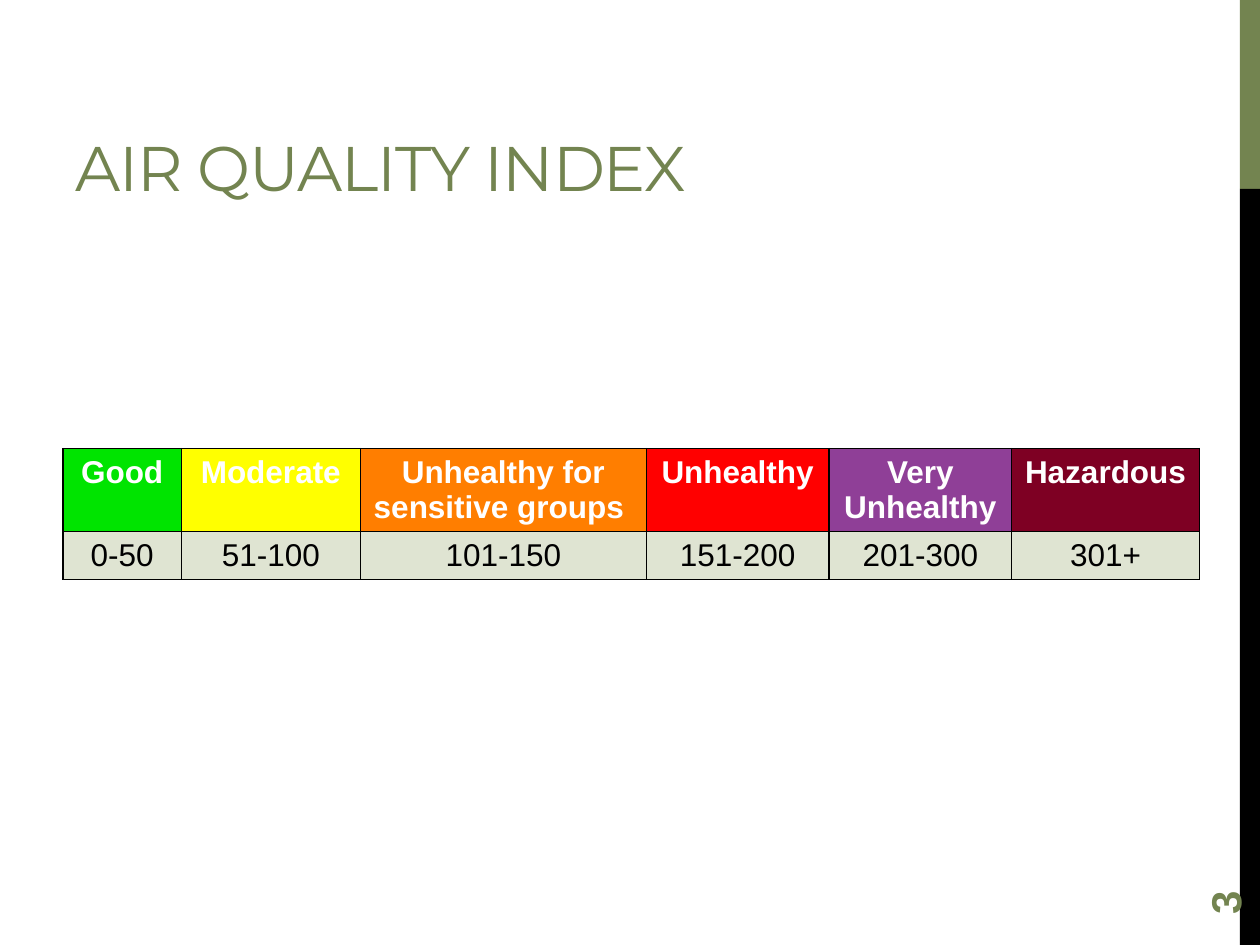
from lxml import etree
from pptx import Presentation, util as u
from pptx.dml.color import RGBColor
from pptx.enum import shapes, text
from pptx.oxml import ns

# Content
TITLE = "AIR QUALITY INDEX"
PAGE_NUMBER = "3"
LEVELS = [  # name, index range, colour, column width
    ("Good", "0-50", RGBColor(0x00, 0xE4, 0x00), 0.94),
    ("Moderate", "51-100", RGBColor(0xFF, 0xFF, 0x00), 1.42),
    ("Unhealthy for sensitive groups ", "101-150", RGBColor(0xFF, 0x7E, 0x00), 2.27),
    ("Unhealthy", "151-200", RGBColor(0xFF, 0x00, 0x00), 1.45),
    ("Very Unhealthy ", "201-300", RGBColor(0x8F, 0x3F, 0x97), 1.45),
    ("Hazardous", "301+", RGBColor(0x7E, 0x00, 0x23), 1.49),
]

# Style
OLIVE = RGBColor(0x73, 0x84, 0x50)
PALE = RGBColor(0xDF, 0xE4, 0xD2)
BLACK = RGBColor(0, 0, 0)
WHITE = RGBColor(255, 255, 255)
WIDTH, HEIGHT = 10, 7.5
MARGIN = 0.5
BAR_WIDTH = 0.16
ROW_HEIGHTS = (0.66, 0.38)


def inches(*lengths):
    return [u.Inches(length) for length in lengths]


def set_font(para, name, size, color, bold=False):
    font = para.font
    font.name, font.size, font.bold = name, u.Pt(size), bold
    font.color.rgb = color


def add_borders(cell, color, points):
    properties = cell._tc.get_or_add_tcPr()
    for side in ("a:lnL", "a:lnR", "a:lnT", "a:lnB"):
        line = etree.SubElement(properties, ns.qn(side), w=str(u.Pt(points)))
        fill = etree.SubElement(line, ns.qn("a:solidFill"))
        etree.SubElement(fill, ns.qn("a:srgbClr"), val=str(color))


deck = Presentation()
deck.slide_width, deck.slide_height = inches(WIDTH, HEIGHT)
page = deck.slides.add_slide(deck.slide_layouts[5])

# Side bar: the top fifth is olive, the rest black
for top, share, color in ((0, 0.2, OLIVE), (0.2, 0.8, BLACK)):
    bar = page.shapes.add_shape(
        shapes.MSO_SHAPE.RECTANGLE,
        *inches(WIDTH - BAR_WIDTH, top * HEIGHT, BAR_WIDTH, share * HEIGHT))
    bar.shadow.inherit = False
    bar.fill.solid()
    bar.fill.fore_color.rgb = color
    bar.line.fill.background()

# Title
title = page.shapes.title
title.left, title.top, title.width, title.height = inches(MARGIN, 0.17, 6.33, 1.5)
title.text_frame.text = TITLE
title.text_frame.vertical_anchor = text.MSO_ANCHOR.BOTTOM
para = title.text_frame.paragraphs[0]
para.alignment = text.PP_ALIGN.LEFT
set_font(para, "Montserrat", 36, OLIVE)
para.runs[0].font._element.set("spc", "-60")

# Index table: coloured level names above their ranges
widths = [level[3] for level in LEVELS]
table = page.shapes.add_table(
    len(ROW_HEIGHTS), len(LEVELS),
    *inches(MARGIN, 3.56, sum(widths), sum(ROW_HEIGHTS))).table
for row, height in zip(table.rows, ROW_HEIGHTS):
    row.height = u.Inches(height)
for column, (name, span, color, width) in enumerate(LEVELS):
    table.columns[column].width = u.Inches(width)
    styles = ((name, color, WHITE, True), (span, PALE, BLACK, False))
    for row, (words, fill, ink, bold) in enumerate(styles):
        cell = table.cell(row, column)
        cell.text = words
        add_borders(cell, BLACK, 1)
        cell.fill.solid()
        cell.fill.fore_color.rgb = fill
        para = cell.text_frame.paragraphs[0]
        para.alignment = text.PP_ALIGN.CENTER
        set_font(para, "Arial", 18, ink, bold)

# Page number, reading upwards beside the bar
box = page.shapes.add_textbox(*inches(9, 6.44, 1.44, 0.4))
box.rotation = 270
box.text_frame.word_wrap = True
box.text_frame.vertical_anchor = text.MSO_ANCHOR.MIDDLE
box.text_frame.text = PAGE_NUMBER
set_font(box.text_frame.paragraphs[0], "Arial", 24, OLIVE, True)

deck.save("out.pptx")
